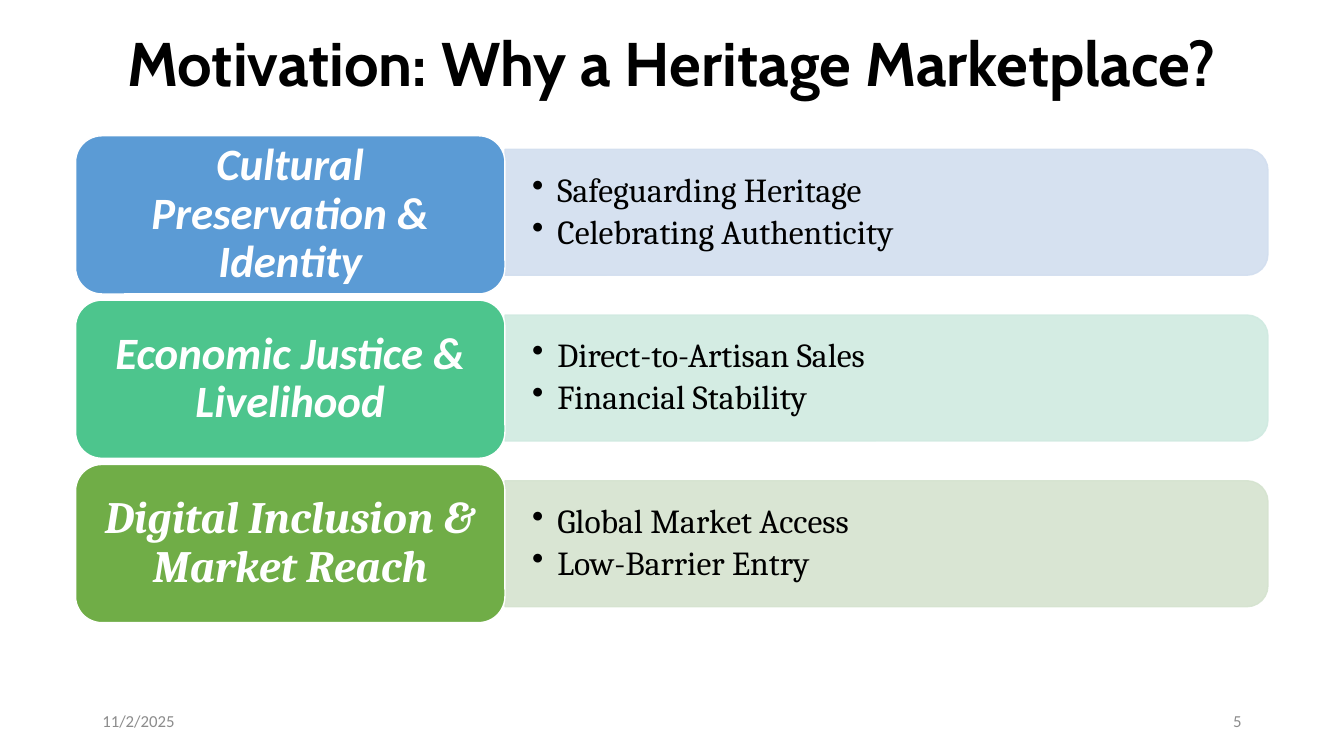
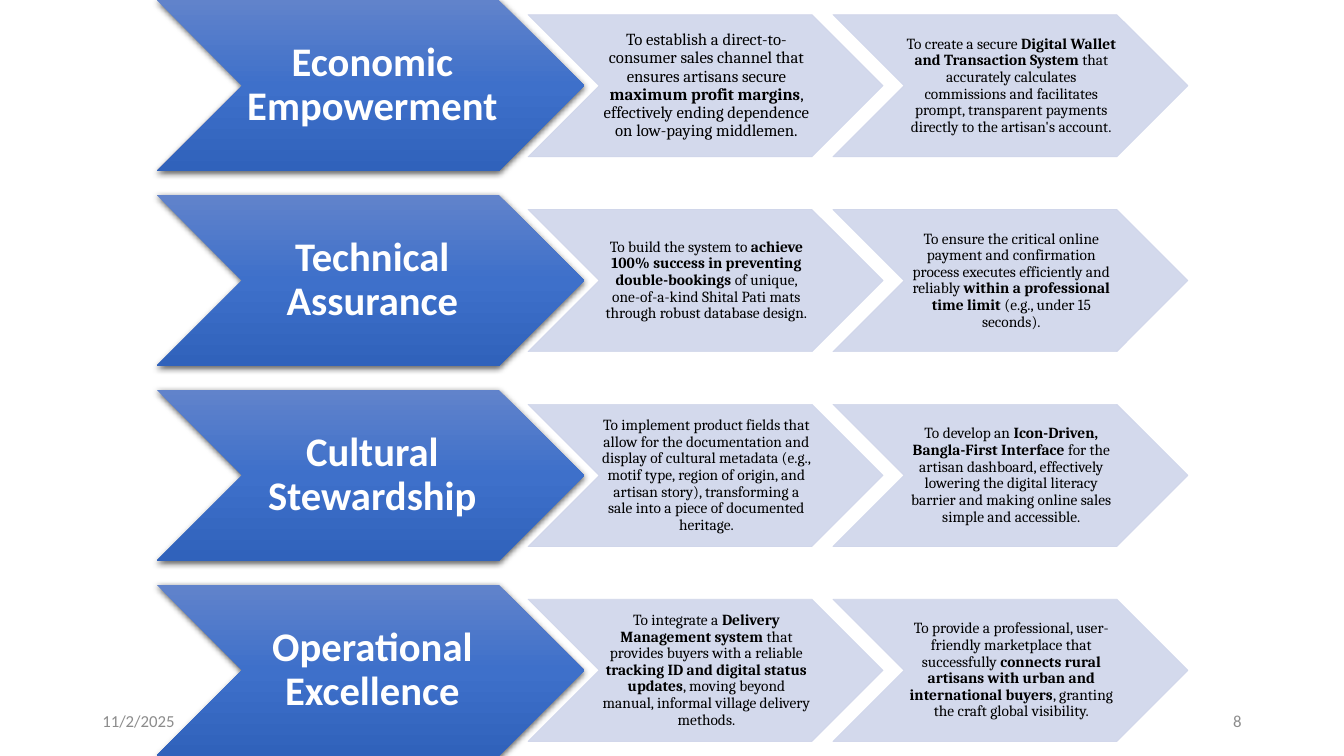
from lxml.etree import SubElement
from pptx import Presentation
from pptx.dml.color import RGBColor
from pptx.enum.shapes import MSO_SHAPE as Preset
from pptx.enum.text import MSO_ANCHOR as Anchor, PP_ALIGN as Align
from pptx.oxml.ns import qn
from pptx.util import Pt

WHITE = RGBColor(0xFF, 0xFF, 0xFF)
BLACK = RGBColor(0x00, 0x00, 0x00)
GREY = RGBColor(0x8C, 0x8C, 0x8C)
BLUE = RGBColor(0x5B, 0x9B, 0xD5)
TEAL = RGBColor(0x4D, 0xC5, 0x8D)
GREEN = RGBColor(0x70, 0xAD, 0x47)
PALE_BLUE = RGBColor(0xD2, 0xDE, 0xEF)
PALE_TEAL = RGBColor(0xD0, 0xEA, 0xE1)
PALE_GREEN = RGBColor(0xD5, 0xE3, 0xCF)
LAVENDER = RGBColor(0xCF, 0xD5, 0xEA)
GOAL_STOPS = [(0, RGBColor(0x61, 0x83, 0xCB)),
              (50, RGBColor(0x3E, 0x70, 0xCA)),
              (100, RGBColor(0x30, 0x62, 0xBB))]

TITLE_FONT, LABEL_FONT, BODY_FONT = "Cabin", "Calibri", "Cambria"
SLIDE_WIDTH, SLIDE_HEIGHT = 960, 540
DATE = "11/2/2025"

MOTIVATION_TITLE = "Motivation: Why a Heritage Marketplace?"
# label, label font, label colour, panel colour, bullets
MOTIVES = [
    ("Cultural Preservation & Identity", LABEL_FONT, BLUE, PALE_BLUE,
     ["Safeguarding Heritage", "Celebrating Authenticity"]),
    ("Economic Justice & Livelihood", LABEL_FONT, TEAL, PALE_TEAL,
     ["Direct-to-Artisan Sales", "Financial Stability"]),
    ("Digital Inclusion & Market Reach", BODY_FONT, GREEN, PALE_GREEN,
     ["Global Market Access", "Low-Barrier Entry"]),
]

# goal, then (size, text) per step; ** encloses bold words
GOALS = [
    ("Economic Empowerment", [
        (12, "To establish a direct-to-consumer sales channel that ensures artisans secure "
             "**maximum profit margins**, effectively ending dependence on low-paying middlemen."),
        (11, "To create a secure **Digital Wallet and Transaction System** that accurately "
             "calculates commissions and facilitates prompt, transparent payments directly "
             "to the artisan's account."),
    ]),
    ("Technical Assurance", [
        (11, "To build the system to **achieve 100% success in preventing double-bookings** of "
             "unique, one-of-a-kind Shital Pati mats through robust database design."),
        (11, "To ensure the critical online payment and confirmation process executes "
             "efficiently and reliably **within a professional time limit** "
             "(e.g., under 15 seconds)."),
    ]),
    ("Cultural Stewardship", [
        (11, "To implement product fields that allow for the documentation and display of "
             "cultural metadata (e.g., motif type, region of origin, and artisan story), "
             "transforming a sale into a piece of documented heritage."),
        (11, "To develop an **Icon-Driven, Bangla-First Interface** for the artisan dashboard, "
             "effectively lowering the digital literacy barrier and making online sales simple "
             "and accessible."),
    ]),
    ("Operational Excellence", [
        (11, "To integrate a **Delivery Management system** that provides buyers with a reliable "
             "**tracking ID and digital status updates**, moving beyond manual, informal village "
             "delivery methods."),
        (11, "To provide a professional, user-friendly marketplace that successfully **connects "
             "rural artisans with urban and international buyers**, granting the craft global "
             "visibility."),
    ]),
]


def set_frame(shape, insets):
    frame = shape.text_frame
    frame.word_wrap = True
    frame.vertical_anchor = Anchor.MIDDLE
    frame.margin_left, frame.margin_top, frame.margin_right, frame.margin_bottom = map(Pt, insets)
    return frame


def style_para(para, font, size, color, align=Align.CENTER, bold=None, italic=None, spacing=0.9):
    para.alignment = align
    para.line_spacing = spacing
    para.font.name = font
    para.font.size = Pt(size)
    para.font.color.rgb = color
    para.font.bold = bold
    para.font.italic = italic


def write(shape, text, insets, *style, **options):
    """Fill a shape with one paragraph; words between ** become bold."""
    para = set_frame(shape, insets).paragraphs[0]
    style_para(para, *style, **options)
    parts = text.split("**")
    for index, part in enumerate(parts):
        span = para.add_run()
        span.text = part
        if len(parts) > 1:
            span.font.bold = index % 2 == 1


def add_box(page, left, top, width, height):
    return page.shapes.add_textbox(Pt(left), Pt(top), Pt(width), Pt(height))


def add_shape(page, preset, left, top, width, height):
    shape = page.shapes.add_shape(preset, Pt(left), Pt(top), Pt(width), Pt(height))
    shape.shadow.inherit = False
    return shape


def paint(shape, fill, line, line_width):
    shape.fill.solid()
    shape.fill.fore_color.rgb = fill
    shape.line.color.rgb = line
    shape.line.width = Pt(line_width)


def set_opacity(shape, percent):
    for color in list(shape.element.spPr.iter(qn("a:srgbClr"))):
        SubElement(color, qn("a:alpha"), val=str(percent * 1000))


def paint_goal(shape):
    """Give a goal arrow its downward gradient and soft shadow."""
    shape.line.fill.background()
    shape.fill.gradient()
    shape.fill.gradient_angle = 270
    properties = shape.element.spPr
    stops = properties.find(".//" + qn("a:gsLst"))
    for stop in list(stops):
        stops.remove(stop)
    for position, color in GOAL_STOPS:
        stop = SubElement(stops, qn("a:gs"), pos=str(position * 1000))
        SubElement(stop, qn("a:srgbClr"), val=str(color))
    shadow = SubElement(properties.find(qn("a:effectLst")), qn("a:outerShdw"),
                        blurRad=str(Pt(4.5)), dist=str(Pt(1.5)), dir="5400000",
                        algn="ctr", rotWithShape="0")
    color = SubElement(shadow, qn("a:srgbClr"), val="000000")
    SubElement(color, qn("a:alpha"), val="63000")


def add_page(deck, number):
    page = deck.slides.add_slide(deck.slide_layouts[6])
    for left, text, align in [(66, DATE, Align.LEFT), (678, number, Align.RIGHT)]:
        write(add_box(page, left, 500.6, 216, 28.8), text, (7.2, 3.6, 7.2, 3.6),
              LABEL_FONT, 12, GREY, align=align, spacing=1)
    return page


def add_bullets(box, items):
    frame = set_frame(box, (19.4, 10, 19.4, 10))
    for index, item in enumerate(items):
        para = frame.paragraphs[0] if index == 0 else frame.add_paragraph()
        properties = para._p.get_or_add_pPr()
        properties.set("marL", str(Pt(18)))
        properties.set("indent", str(Pt(-18)))
        SubElement(properties, qn("a:buChar"), char="•")
        if index:
            para.space_before = Pt(4)
        style_para(para, BODY_FONT, 24, BLACK, align=Align.LEFT)
        para.add_run().text = item


def build_motivation(deck):
    page = add_page(deck, "5")
    write(add_box(page, 0, 0, SLIDE_WIDTH, 95), MOTIVATION_TITLE, (7.2, 3.6, 7.2, 3.6),
          TITLE_FONT, 44, BLACK, bold=True)
    label_left, label_width, label_height = 54, 306.7, 113
    panel_left, panel_width, panel_height = label_left + label_width, 545, 90
    for row, (label, font, color, pale, items) in enumerate(MOTIVES):
        middle = 151.6 + row * 118.4
        # Turned a quarter so that the rounded corners face right
        panel = add_shape(page, Preset.ROUND_2_SAME_RECTANGLE,
                          panel_left + (panel_width - panel_height) / 2,
                          middle - panel_width / 2, panel_height, panel_width)
        panel.rotation = 90
        paint(panel, pale, pale, 1)
        set_opacity(panel, 90)
        add_bullets(add_box(page, panel_left, middle - 40.7, 540.7, 81.4), items)

        tile = add_shape(page, Preset.ROUNDED_RECTANGLE,
                         label_left, 97 + row * 117.4, label_width, label_height)
        paint(tile, color, WHITE, 1)
        write(tile, label, (9.4, 5, 9.4, 5), font, 32, WHITE, bold=True, italic=True)


def build_goals(deck):
    page = add_page(deck, "8")
    goal_height, step_height = 122.4, 101.5
    pitch = (SLIDE_HEIGHT - goal_height) / (len(GOALS) - 1)
    for row, (goal, steps) in enumerate(GOALS):
        top = row * pitch
        arrow = add_shape(page, Preset.CHEVRON, 111.8, top, 305.6, goal_height)
        paint_goal(arrow)
        write(arrow, goal, (2.9, 1.4, 0, 1.4), LABEL_FONT, 29, WHITE, bold=True)
        for column, (size, text) in enumerate(steps):
            step = add_shape(page, Preset.CHEVRON, 377.2 + column * 217.8,
                             top + (goal_height - step_height) / 2, 253.6, step_height)
            paint(step, LAVENDER, LAVENDER, 0.5)
            set_opacity(step, 90)
            write(step, text, (1.4, 0.7, 0, 0.7), BODY_FONT, size, BLACK)


def main():
    deck = Presentation()
    deck.slide_width, deck.slide_height = Pt(SLIDE_WIDTH), Pt(SLIDE_HEIGHT)
    build_motivation(deck)
    build_goals(deck)
    deck.save("out.pptx")


if __name__ == "__main__":
    main()
